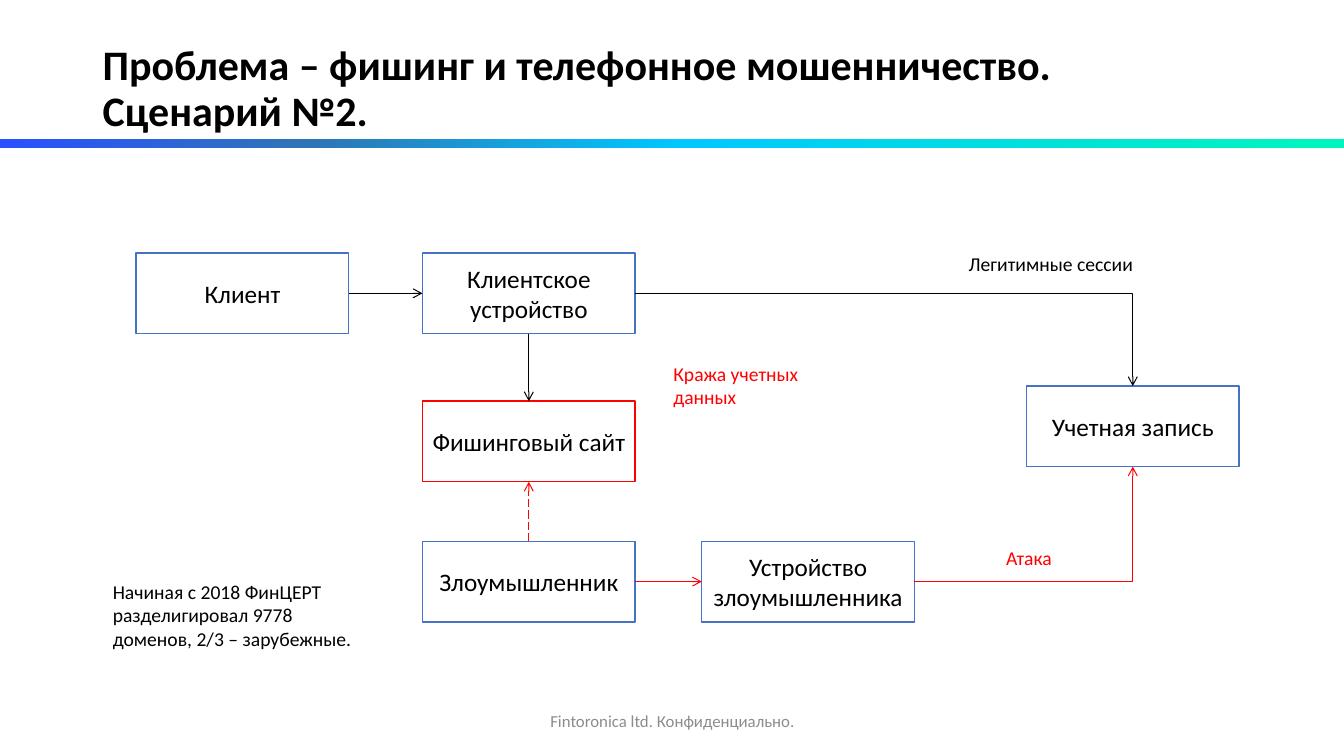
from lxml.etree import SubElement as Sub
from pptx import Presentation
from pptx.dml.color import RGBColor
from pptx.enum.dml import MSO_LINE as Dash
from pptx.enum.shapes import MSO_CONNECTOR as Link, MSO_SHAPE as Form
from pptx.enum.text import MSO_ANCHOR as Anchor, PP_ALIGN as Align
from pptx.oxml.ns import qn
from pptx.util import Emu, Pt

BLACK, BLUE, RED, GREY, WHITE = "000000", "4472C4", "FF0000", "8C8C8C", "FFFFFF"
TOP, LEFT, BOTTOM, RIGHT = range(4)


def px(*nums):
    """Turn lengths in px, 100 to the inch, into EMU."""
    return [Emu(num * 9144) for num in nums]


def rgb(code):
    """Turn a hex string into a colour."""
    return RGBColor.from_string(code)


class Board:
    """Hold the style and the current slide."""

    face = "Calibri"
    size = 211, 80

    def __init__(self, deck):
        """Add a blank slide to the deck."""
        self.shapes = deck.slides.add_slide(deck.slide_layouts[6]).shapes

    def label(self, shape, words, size, color, align, anchor):
        """Fill a shape with one styled paragraph."""
        frame = shape.text_frame
        frame.word_wrap = True
        frame.vertical_anchor = anchor
        para = frame.paragraphs[0]
        para.text = words
        para.alignment = align
        font = para.font
        font.name, font.size = self.face, Pt(size)
        font.color.rgb = rgb(color)
        return para

    def text(self, area, words, size=14, color=BLACK, align=Align.LEFT, anchor=Anchor.TOP):
        """Add a text box and return its paragraph."""
        return self.label(self.shapes.add_textbox(*px(*area)), words, size, color, align, anchor)

    def title(self, area, words):
        """Add the bold heading."""
        para = self.text(area, words, 30, anchor=Anchor.MIDDLE)
        para.font.bold = True
        para.line_spacing = 0.9

    def band(self, area, stops):
        """Add a strip with a left to right gradient."""
        bar = self.shapes.add_shape(Form.RECTANGLE, *px(*area))
        bar.shadow.inherit = False
        bar.line.fill.background()
        bar.fill.gradient()
        bar.fill.gradient_angle = 0
        items = next(bar.element.iter(qn("a:gsLst")))
        items.clear()
        for part, code in stops:
            stop = Sub(items, qn("a:gs"), pos=str(part * 1000))
            Sub(stop, qn("a:srgbClr"), val=code)

    def box(self, left, top, words, color=BLUE):
        """Add an outlined box with a centred label."""
        shape = self.shapes.add_shape(Form.RECTANGLE, *px(left, top, *self.size))
        shape.shadow.inherit = False
        shape.fill.solid()
        shape.fill.fore_color.rgb = rgb(WHITE)
        shape.line.color.rgb = rgb(color)
        shape.line.width = Pt(1)
        self.label(shape, words, 18, BLACK, Align.CENTER, Anchor.MIDDLE)
        return shape

    def arrow(self, start, out, end, into, color=BLACK, bent=False, dash=None):
        """Join two boxes with an arrow."""
        kind = Link.ELBOW if bent else Link.STRAIGHT
        link = self.shapes.add_connector(kind, 0, 0, 0, 0)
        link.begin_connect(start, out)
        link.end_connect(end, into)
        link.line.color.rgb = rgb(color)
        link.line.width = Pt(0.75)
        if dash:
            link.line.dash_style = dash
        props = link.element.spPr
        if bent:
            props.find(qn("a:prstGeom")).set("prst", "bentConnector2")
        Sub(props.find(qn("a:ln")), qn("a:tailEnd"), type="arrow")
        Sub(props, qn("a:effectLst"))


def main():
    """Build and save the slide."""
    deck = Presentation()
    deck.slide_width, deck.slide_height = px(1333, 750)
    board = Board(deck)

    board.title((92, 40, 1150, 98), "Проблема – фишинг и телефонное мошенничество.\vСценарий №2.")
    board.band((0, 138, 1333, 9), [(0, "2A50FF"), (23, "2E75B6"), (51, "00C8FF"), (99, "00F5BE")])
    board.text((442, 695, 450, 40), "Fintoronica ltd. Конфиденциально.", 12, GREY,
               Align.CENTER, Anchor.MIDDLE)

    client = board.box(135, 251, "Клиент")
    device = board.box(419, 251, "Клиентское устройство")
    site = board.box(419, 398, "Фишинговый сайт", RED)
    thief = board.box(419, 537, "Злоумышленник")
    tool = board.box(696, 537, "Устройство злоумышленника")
    account = board.box(1018, 383, "Учетная запись")

    board.arrow(client, RIGHT, device, LEFT)
    board.arrow(device, BOTTOM, site, TOP)
    board.arrow(device, RIGHT, account, TOP, bent=True)
    board.arrow(thief, TOP, site, BOTTOM, RED, dash=Dash.LONG_DASH)
    board.arrow(thief, RIGHT, tool, LEFT, RED)
    board.arrow(tool, RIGHT, account, BOTTOM, RED, bent=True)

    board.text((951, 245, 193, 34), "Легитимные сессии")
    board.text((658, 354, 156, 57), "Кража учетных данных", color=RED)
    board.text((988, 537, 114, 34), "Атака", color=RED)
    board.text((102, 570, 268, 81),
               "Начиная с 2018 ФинЦЕРТ разделигировал 9778 доменов, 2/3 – зарубежные.")
    deck.save("out.pptx")


if __name__ == "__main__":
    main()
